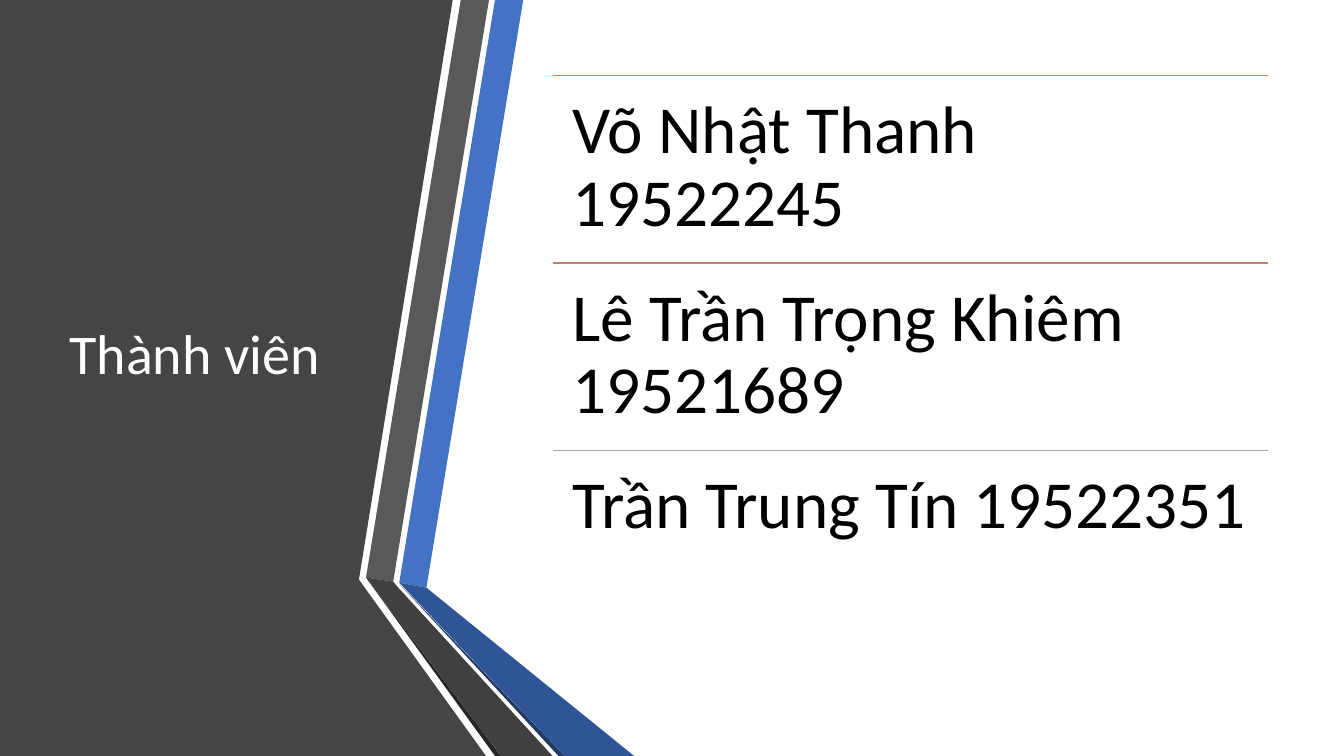
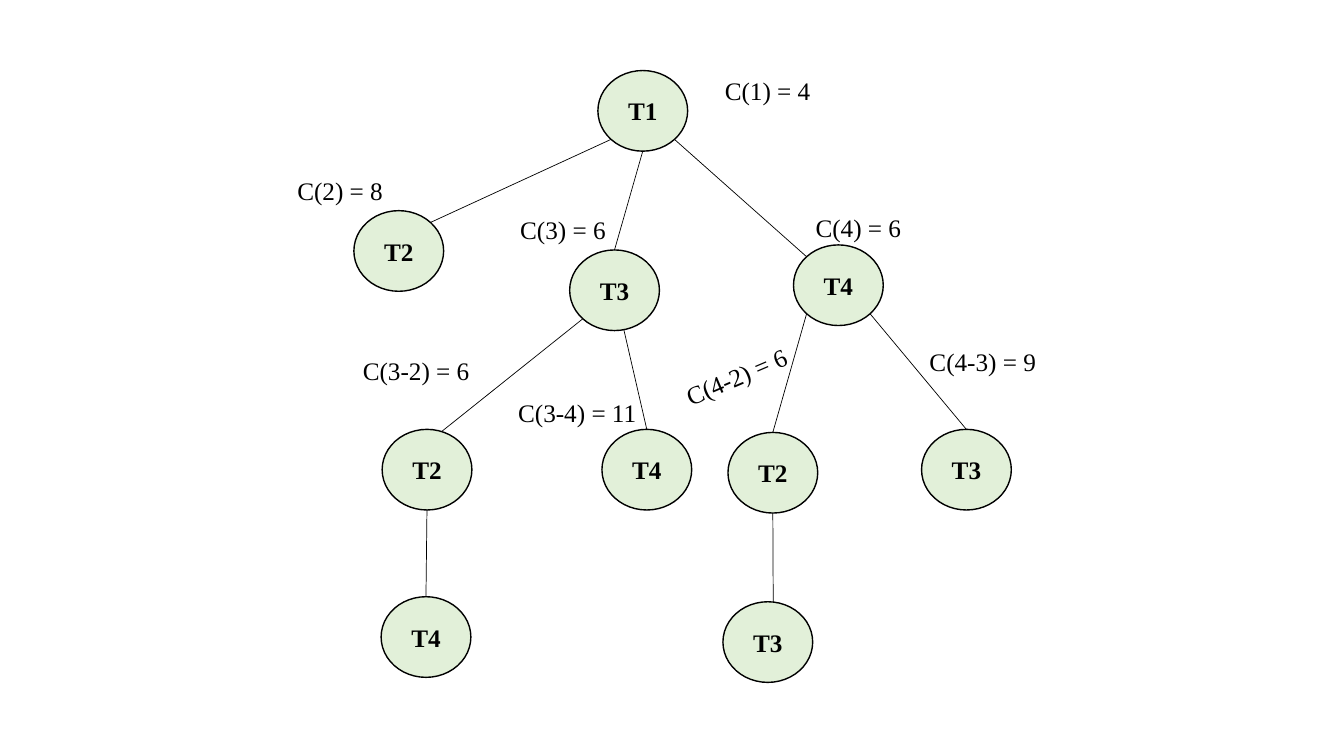
import math

from lxml import etree
from pptx import Presentation
from pptx.dml.color import RGBColor
from pptx.enum.shapes import MSO_CONNECTOR, MSO_SHAPE
from pptx.enum.text import MSO_ANCHOR, MSO_AUTO_SIZE, PP_ALIGN
from pptx.oxml.ns import qn
from pptx.util import Inches, Pt

LEFT, CENTER = PP_ALIGN.LEFT, PP_ALIGN.CENTER
TOP, MIDDLE = MSO_ANCHOR.TOP, MSO_ANCHOR.MIDDLE
STRAIGHT, OVAL = MSO_CONNECTOR.STRAIGHT, MSO_SHAPE.OVAL
NO_FIT = MSO_AUTO_SIZE.NONE
TITLE_ONLY, BLANK = 5, 6

# Shared palette and text styles
BLACK, WHITE, PANEL, NODE_FILL = "000000", "FFFFFF", "454545", "E2F0D9"
TITLE = {"name": "Calibri", "size": Pt(40), "color": WHITE}
MEMBER = {"name": "Calibri", "size": Pt(48), "color": BLACK}
LABEL = {"name": "Times New Roman", "size": Pt(18), "color": BLACK}
NODE = {**LABEL, "bold": True}

# Folded panel and ribbons: colour and outline, relative to the box
FOLDS = [
    (PANEL, [(0, 0), (4.49, 0), (3.56, 5.75), (4.82, 7.5), (0, 7.5)]),
    ("4472C4", [(3.96, 5.78), (4.23, 5.83), (5.19, 0), (4.91, 0)]),
    ("595959", [(4.85, 0), (4.57, 0), (3.63, 5.73), (3.9, 5.77)]),
    ("262626", [(3.63, 5.73), (4.91, 7.5), (4.97, 7.5)]),
    ("203864", [(3.96, 5.79), (5.54, 7.5), (5.6, 7.5)]),
    ("2F5597", [(3.96, 5.78), (5.6, 7.5), (6.29, 7.5), (4.23, 5.83)]),
    ("404040", [(3.63, 5.73), (4.97, 7.5), (5.48, 7.5), (3.95, 5.83),
                (3.9, 5.77)]),
]
MEMBERS = [
    ("Võ Nhật Thanh 19522245", "ED7D31"),
    ("Lê Trần Trọng Khiêm 19521689", "C48170"),
    ("Trần Trung Tín 19522351", "A5A5A5"),
]

# Search tree: nodes keyed by their route from the root, relative to the box
NODE_W, NODE_H = 0.89, 0.8
NODES = {
    "1": (3.08, 0), "12": (0.66, 1.39), "13": (2.8, 1.78), "14": (5.02, 1.73),
    "132": (0.94, 3.56), "134": (3.12, 3.56),
    "142": (4.37, 3.59), "143": (6.29, 3.56),
    "1324": (0.93, 5.22), "1423": (4.32, 5.27),
}
# Angles of the ends on the ellipses, clockwise from the right
E_SE, E_S, E_SW, E_NW, E_N, E_NE = 45, 90, 135, 225, 270, 315
EDGES = [
    ("1", E_SW, "12", E_NE), ("1", E_S, "13", E_N), ("1", E_SE, "14", E_NW),
    ("13", E_SW, "132", 289), ("13", 78, "134", E_N),
    ("14", E_SW, "142", E_N), ("14", E_SE, "143", E_N),
    ("132", E_S, "1324", E_N), ("142", E_S, "1423", 277),
]
LABEL_W, LABEL_H = 1.38, 0.4
COSTS = [
    ("C(1) = 4", 4.24, 0, 0), ("C(2) = 8", 0, 0.99, 0),
    ("C(3) = 6", 2.21, 1.38, 0), ("C(4) = 6", 5.14, 1.36, 0),
    ("C(3-2) = 6", 0.65, 2.78, 0), ("C(3-4) = 11", 2.19, 3.19, 0),
    ("C(4-2) = 6", 3.82, 2.81, 336.8), ("C(4-3) = 9", 6.27, 2.69, 0),
]


def rgb(value):
    return RGBColor.from_string(value)


def put_text(sp, text, style, align=LEFT, anchor=TOP, inset=(0.1, 0.05),
             spacing=1.0):
    tf = sp.text_frame
    side, end = (Inches(v) for v in inset)
    settings = {"word_wrap": True, "auto_size": NO_FIT,
                "vertical_anchor": anchor, "margin_left": side,
                "margin_right": side, "margin_top": end, "margin_bottom": end}
    for name, value in settings.items():
        setattr(tf, name, value)
    p = tf.paragraphs[0]
    p.alignment, p.line_spacing = align, spacing
    r = p.add_run()
    r.text = text
    for name, value in style.items():
        if name == "color":
            r.font.color.rgb = rgb(value)
        else:
            setattr(r.font, name, value)


def add_text(s, box, text, style, **layout):
    sp = s.shapes.add_textbox(*map(Inches, box))
    put_text(sp, text, style, **layout)
    return sp


def paint(sp, fill, line=None, width=1):
    sp.shadow.inherit = False
    sp.fill.solid()
    sp.fill.fore_color.rgb = rgb(fill)
    if line:
        sp.line.color.rgb = rgb(line)
        sp.line.width = Pt(width)
    else:
        sp.line.fill.background()


def add_line(s, start, end, color, width):
    sp = s.shapes.add_connector(STRAIGHT, *map(Inches, (*start, *end)))
    sp.line.color.rgb = rgb(color)
    sp.line.width = Pt(width)
    etree.SubElement(sp.element.spPr, qn("a:effectLst"))


def add_title(s, box, text):
    sp = s.shapes.title
    sp.left, sp.top, sp.width, sp.height = map(Inches, box)
    put_text(sp, text, TITLE, anchor=MIDDLE, spacing=0.9)
    # Bring the title in front of the panel
    s.shapes[-1].element.addnext(sp.element)


def add_folds(s, x, y):
    for color, outline in FOLDS:
        points = [(Inches(x + px), Inches(y + py)) for px, py in outline]
        builder = s.shapes.build_freeform(*points[0])
        builder.add_line_segments(points[1:], close=True)
        paint(builder.convert_to_shape(), color)


def add_members(s, x, y, w, h):
    row_h = h / len(MEMBERS)
    for i, (member, color) in enumerate(MEMBERS):
        top = y + i * row_h
        add_line(s, (x, top), (x + w, top), color, 1)
        add_text(s, (x, top, w, row_h), member, MEMBER,
                 inset=(0.2, 0.2), spacing=0.9)


def add_tree(s, x, y):
    def rim(route, angle):
        left, top = NODES[route]
        a = math.radians(angle)
        return (x + left + NODE_W / 2 * (1 + math.cos(a)),
                y + top + NODE_H / 2 * (1 + math.sin(a)))

    # Nodes are named after the last step of their route
    for route, (left, top) in NODES.items():
        box = (x + left, y + top, NODE_W, NODE_H)
        sp = s.shapes.add_shape(OVAL, *map(Inches, box))
        paint(sp, NODE_FILL, BLACK)
        put_text(sp, "T" + route[-1], NODE, align=CENTER, anchor=MIDDLE)
    for parent, out_angle, child, in_angle in EDGES:
        add_line(s, rim(parent, out_angle), rim(child, in_angle), BLACK, 0.5)
    for text, left, top, angle in COSTS:
        sp = add_text(s, (x + left, y + top, LABEL_W, LABEL_H), text, LABEL)
        sp.rotation = angle


def members_slide(prs):
    s = prs.slides.add_slide(prs.slide_layouts[TITLE_ONLY])
    add_folds(s, 0, 0)
    add_title(s, (0.59, 0.75, 3.04, 5.58), "Thành viên")
    add_members(s, 5.48, 0.75, 7.1, 5.58)


def tree_slide(prs):
    s = prs.slides.add_slide(prs.slide_layouts[BLANK])
    add_tree(s, 2.85, 0.7)


def main():
    prs = Presentation()
    prs.slide_width, prs.slide_height = Inches(13.33), Inches(7.5)
    members_slide(prs)
    tree_slide(prs)
    prs.save("out.pptx")


if __name__ == "__main__":
    main()
